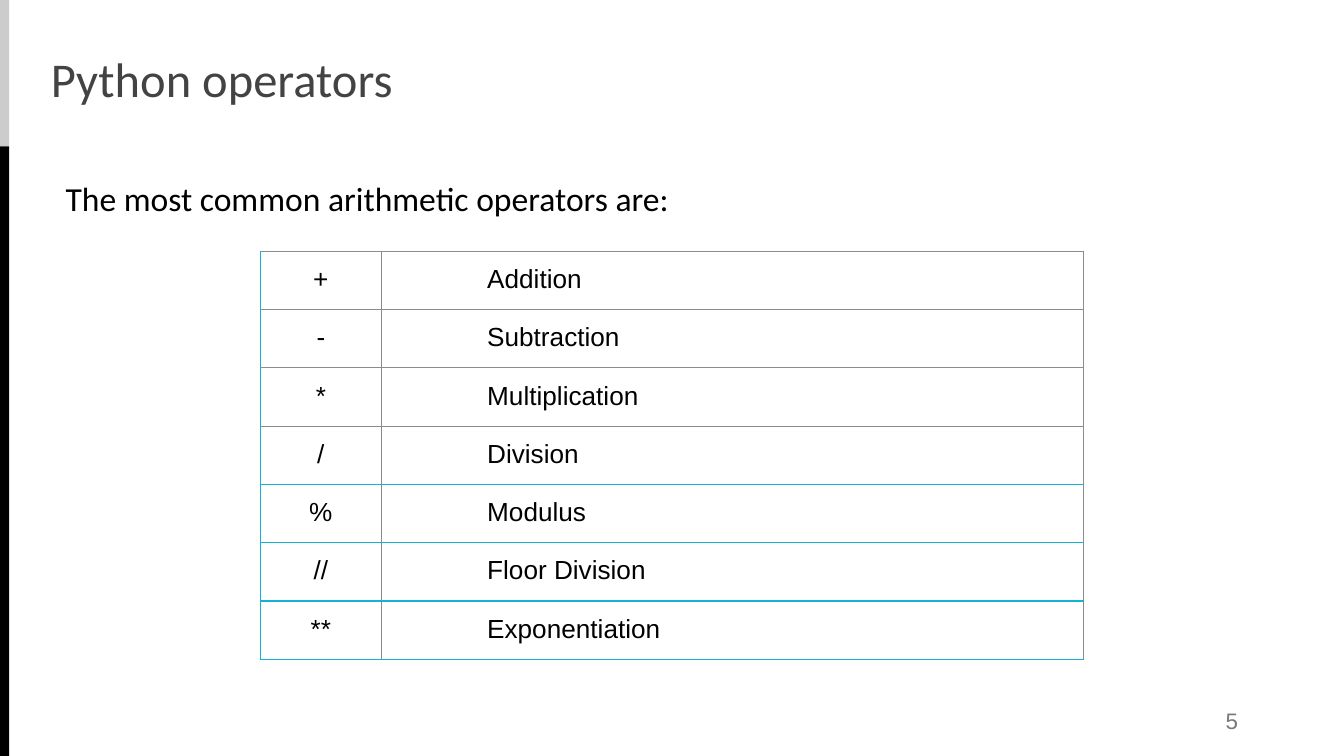
from dataclasses import dataclass

from lxml import etree
from pptx import Presentation
from pptx import util as u
from pptx.dml.color import RGBColor
from pptx.enum import shapes, text
from pptx.oxml import ns

Pt = u.Pt


@dataclass(frozen=True)
class Theme:
    ink: str = "000000"
    heading: str = "434343"
    number: str = "797979"
    bar: str = "CCCCCC"
    accent: str = "14B2D6"
    rule: str = "8C8C8C"
    rule_width: float = 0.75
    heading_font: str = "Calibri"
    body_font: str = "Arial"
    title_size: float = 26
    lead_size: float = 18
    cell_size: float = 14
    number_size: float = 12


THEME = Theme()
OPERATORS = [
    ("+", "Addition"),
    ("-", "Subtraction"),
    ("*", "Multiplication"),
    ("/", "Division"),
    ("%", "Modulus"),
    ("//", "Floor Division"),
    ("**", "Exponentiation"),
]
FIRST_ACCENT_RULE = 4


def style_font(para, name, size, color):
    para.font.name = name
    para.font.size = Pt(size)
    para.font.color.rgb = RGBColor.from_string(color)


def set_insets(target, inset):
    target.margin_left = target.margin_right = Pt(inset)
    target.margin_top = target.margin_bottom = Pt(inset)


def add_bar(page, top, height, color):
    bar = page.shapes.add_shape(
        shapes.MSO_SHAPE.RECTANGLE, 0, Pt(top), Pt(5), Pt(height))
    bar.shadow.inherit = False
    bar.fill.solid()
    bar.fill.fore_color.rgb = RGBColor.from_string(color)
    bar.line.fill.background()


def add_label(page, frame, wording, font, size, color,
              align=text.PP_ALIGN.LEFT):
    box = page.shapes.add_textbox(*(Pt(length) for length in frame))
    body = box.text_frame
    body.word_wrap = True
    body.vertical_anchor = text.MSO_ANCHOR.MIDDLE
    set_insets(body, 7.2)
    para = body.paragraphs[0]
    para.text = wording
    para.alignment = align
    style_font(para, font, size, color)


def add_border(cell, side, color):
    properties = cell._tc.get_or_add_tcPr()
    line = etree.SubElement(properties, ns.qn(f"a:ln{side}"),
                            w=str(Pt(THEME.rule_width)))
    fill = etree.SubElement(line, ns.qn("a:solidFill"))
    etree.SubElement(fill, ns.qn("a:srgbClr"), val=color)


def rule_color(index):
    return THEME.accent if index >= FIRST_ACCENT_RULE else THEME.rule


def fill_cell(cell, wording, row, column):
    set_insets(cell, 7.2)
    add_border(cell, "L", THEME.rule if column else THEME.accent)
    add_border(cell, "R", THEME.rule)
    add_border(cell, "T", rule_color(row))
    add_border(cell, "B", rule_color(row + 1))
    cell.fill.background()
    para = cell.text_frame.paragraphs[0]
    para.text = wording
    if column:
        para._p.get_or_add_pPr().set("marL", str(Pt(49.5)))
    else:
        para.alignment = text.PP_ALIGN.CENTER
    style_font(para, THEME.body_font, THEME.cell_size, THEME.ink)


def add_operator_table(page):
    widths = (64.8, 376)
    row_height = 31.15
    table = page.shapes.add_table(
        len(OPERATORS), len(widths), Pt(139.5), Pt(134.6),
        Pt(sum(widths)), Pt(row_height * len(OPERATORS))).table
    table.first_row = table.horz_banding = False
    for column, width in zip(table.columns, widths):
        column.width = Pt(width)
    for row, operator in enumerate(OPERATORS):
        table.rows[row].height = Pt(row_height)
        for column, wording in enumerate(operator):
            fill_cell(table.cell(row, column), wording, row, column)


def main():
    deck = Presentation()
    deck.slide_width, deck.slide_height = Pt(720), Pt(405)
    page = deck.slides.add_slide(deck.slide_layouts[6])
    add_bar(page, 0, 78.5, THEME.bar)
    add_bar(page, 78.5, 326.5, THEME.ink)
    add_label(page, (28, 92.2, 625, 28), "The most common arithmetic operators are:",
              THEME.heading_font, THEME.lead_size, THEME.ink)
    add_label(page, (20.2, 28, 227.5, 28), "Python operators",
              THEME.heading_font, THEME.title_size, THEME.heading)
    add_operator_table(page)
    add_label(page, (508.3, 375.1, 162, 21.6), "5", THEME.body_font,
              THEME.number_size, THEME.number, text.PP_ALIGN.RIGHT)
    deck.save("out.pptx")


if __name__ == "__main__":
    main()
